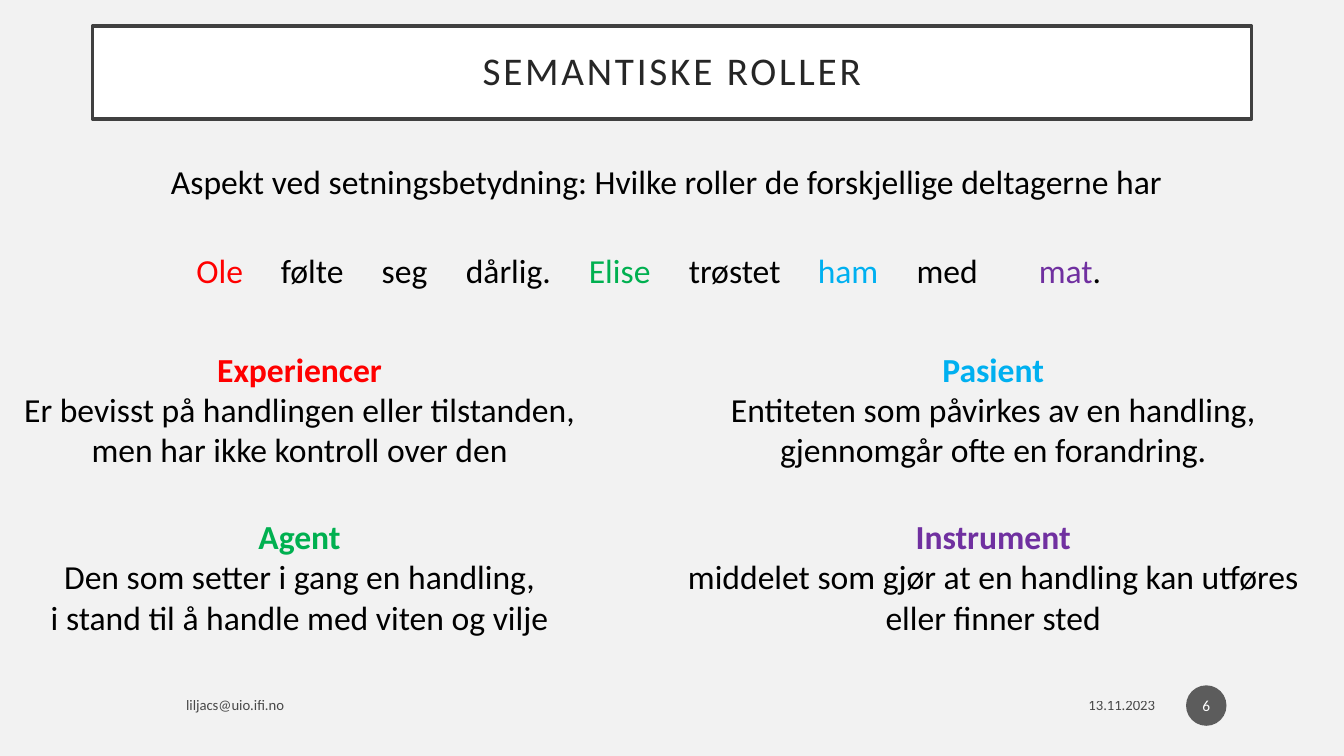
from lxml.etree import SubElement
from pptx import Presentation
from pptx.dml.color import RGBColor
from pptx.enum.shapes import MSO_SHAPE
from pptx.enum.text import MSO_ANCHOR, MSO_AUTO_SIZE, PP_ALIGN
from pptx.oxml.ns import qn
from pptx.util import Cm, Pt

FONT = "Calibri"
COLORS = {
    "background": "F2F2F2", "white": "FFFFFF", "text": "000000",
    "title": "262626", "border": "404040", "badge": "1D1D1D",
    "experiencer": "FF0000", "agent": "00B050",
    "patient": "00B0F0", "instrument": "7030A0",
}

# Each word of the example: text, colour, distance from the left text edge (cm)
EXAMPLE = [
    ("Ole", "experiencer", 0), ("følte", "text", 2.13), ("seg", "text", 4.67),
    ("dårlig.", "text", 6.79), ("Elise", "agent", 9.89),
    ("trøstet", "text", 12.41), ("ham", "patient", 15.66),
    ("med", "text", 18.15), ("mat", "instrument", 21.23),
]

# Rows of roles: heading, colour, definition lines
ROLES = [
    [("Experiencer", "experiencer",
      ["Er bevisst på handlingen eller tilstanden,",
       "men har ikke kontroll over den"]),
     ("Pasient", "patient",
      ["Entiteten som påvirkes av en handling,",
       "gjennomgår ofte en forandring."])],
    [("Agent", "agent",
      ["Den som setter i gang en handling,",
       "i stand til å handle med viten og vilje"]),
     ("Instrument", "instrument",
      ["middelet som gjør at en handling kan utføres",
       "eller finner sted"])],
]


def set_color(fill, name, opacity=100):
    fill.solid()
    fill.fore_color.rgb = RGBColor.from_string(COLORS[name])
    if opacity < 100:
        color = fill._xPr.find(qn("a:solidFill"))[0]
        SubElement(color, qn("a:alpha"), val=str(opacity * 1000))


def add_run(paragraph, text, color="text", size=24, bold=False, opacity=100):
    run = paragraph.add_run()
    run.text = text
    run.font.name = FONT
    run.font.size = Pt(size)
    run.font.bold = bold
    set_color(run.font.fill, color, opacity)
    return run


def add_text_frame(slide, left, top, width, height, wrap=True):
    frame = slide.shapes.add_textbox(
        Cm(left), Cm(top), Cm(width), Cm(height)).text_frame
    frame.word_wrap = wrap
    return frame


def add_title(slide, left, top, width, height):
    title = slide.shapes.title
    title.left, title.top = Cm(left), Cm(top)
    title.width, title.height = Cm(width), Cm(height)
    set_color(title.fill, "white")
    set_color(title.line.fill, "border")
    title.line.width = Pt(2.5)
    frame = title.text_frame
    frame.word_wrap = True
    frame.vertical_anchor = MSO_ANCHOR.MIDDLE
    frame.margin_left = frame.margin_right = Cm(0.51)
    frame.margin_top = frame.margin_bottom = Cm(0.51)
    heading = frame.paragraphs[0]
    heading.alignment = PP_ALIGN.CENTER
    heading.line_spacing = 0.9
    run = add_run(heading, "SEMANTISKE ROLLER", "title", 28)
    run.font._element.set("spc", "200")


def add_intro(slide, left, top, width, height):
    frame = add_text_frame(slide, left, top, width, height, wrap=False)
    frame.auto_size = MSO_AUTO_SIZE.SHAPE_TO_FIT_TEXT
    add_run(frame.paragraphs[0], "Aspekt ved setningsbetydning: "
            "Hvilke roller de forskjellige deltagerne har")


def add_example(slide, left, top, width, height):
    frame = add_text_frame(slide, left, top, width, height)
    frame.auto_size = MSO_AUTO_SIZE.SHAPE_TO_FIT_TEXT
    sentence = frame.paragraphs[0]
    # Tab stops hold the words apart
    tabs = SubElement(sentence._p.get_or_add_pPr(), qn("a:tabLst"))
    for word, color, offset in EXAMPLE:
        if offset:
            SubElement(tabs, qn("a:tab"), pos=str(Cm(offset)), algn="l")
            add_run(sentence, "\t")
        add_run(sentence, word, color)
    add_run(sentence, ".")


def add_role(slide, role, left, top, width, height):
    name, color, definition = role
    frame = add_text_frame(slide, left, top, width, height)
    frame.auto_size = MSO_AUTO_SIZE.SHAPE_TO_FIT_TEXT
    heading = frame.paragraphs[0]
    heading.alignment = PP_ALIGN.CENTER
    add_run(heading, name, color, bold=True)
    for text in definition:
        line = frame.add_paragraph()
        line.alignment = PP_ALIGN.CENTER
        add_run(line, text)


def add_roles(slide, left, top, column_step, row_step, width, height):
    for row, roles in enumerate(ROLES):
        for column, role in enumerate(roles):
            add_role(slide, role, left + column * column_step,
                     top + row * row_step, width, height)


def add_footer(slide, left, top, width, height):
    # Address on the left, date on the right
    date_width = 7.65
    date_left = left + width - date_width - 1.55
    for text, x, w, alignment in [
        ("liljacs@uio.ifi.no", left, 16.38, PP_ALIGN.LEFT),
        ("13.11.2023", date_left, date_width, PP_ALIGN.RIGHT),
    ]:
        frame = add_text_frame(slide, x, top + 0.05, w, 0.89)
        frame.vertical_anchor = MSO_ANCHOR.MIDDLE
        frame.paragraphs[0].alignment = alignment
        add_run(frame.paragraphs[0], text, size=10.5, opacity=70)

    # Round page number
    badge = slide.shapes.add_shape(
        MSO_SHAPE.OVAL, Cm(left + width - height), Cm(top),
        Cm(height), Cm(height))
    badge.shadow.inherit = False
    set_color(badge.fill, "badge", 70)
    badge.line.fill.background()
    frame = badge.text_frame
    frame.margin_left = frame.margin_right = Cm(0.05)
    frame.vertical_anchor = MSO_ANCHOR.MIDDLE
    frame.paragraphs[0].alignment = PP_ALIGN.CENTER
    add_run(frame.paragraphs[0], "6", "white", 11)


def main():
    presentation = Presentation()
    presentation.slide_width, presentation.slide_height = Cm(33.87), Cm(19.05)
    slide = presentation.slides.add_slide(presentation.slide_layouts[5])
    set_color(slide.background.fill, "background")
    add_title(slide, 2.33, 0.66, 29.21, 2.34)
    add_intro(slide, 4.06, 3.94, 25.76, 1.28)
    add_example(slide, 4.7, 6.17, 25.17, 1.28)
    add_roles(slide, -0.92, 8.66, 17.48, 4.22, 16.94, 3.33)
    add_footer(slide, 4.44, 17.27, 26.47, 1.02)
    presentation.save("out.pptx")


if __name__ == "__main__":
    main()
